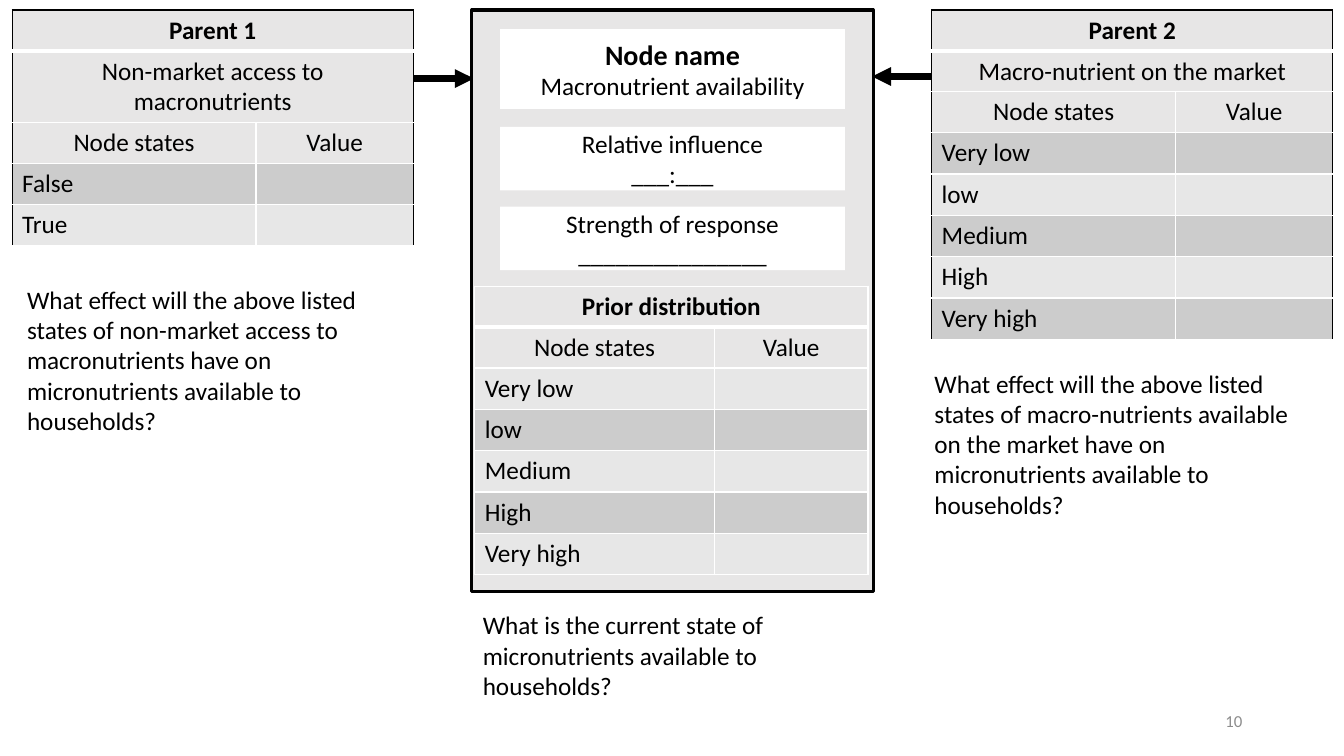
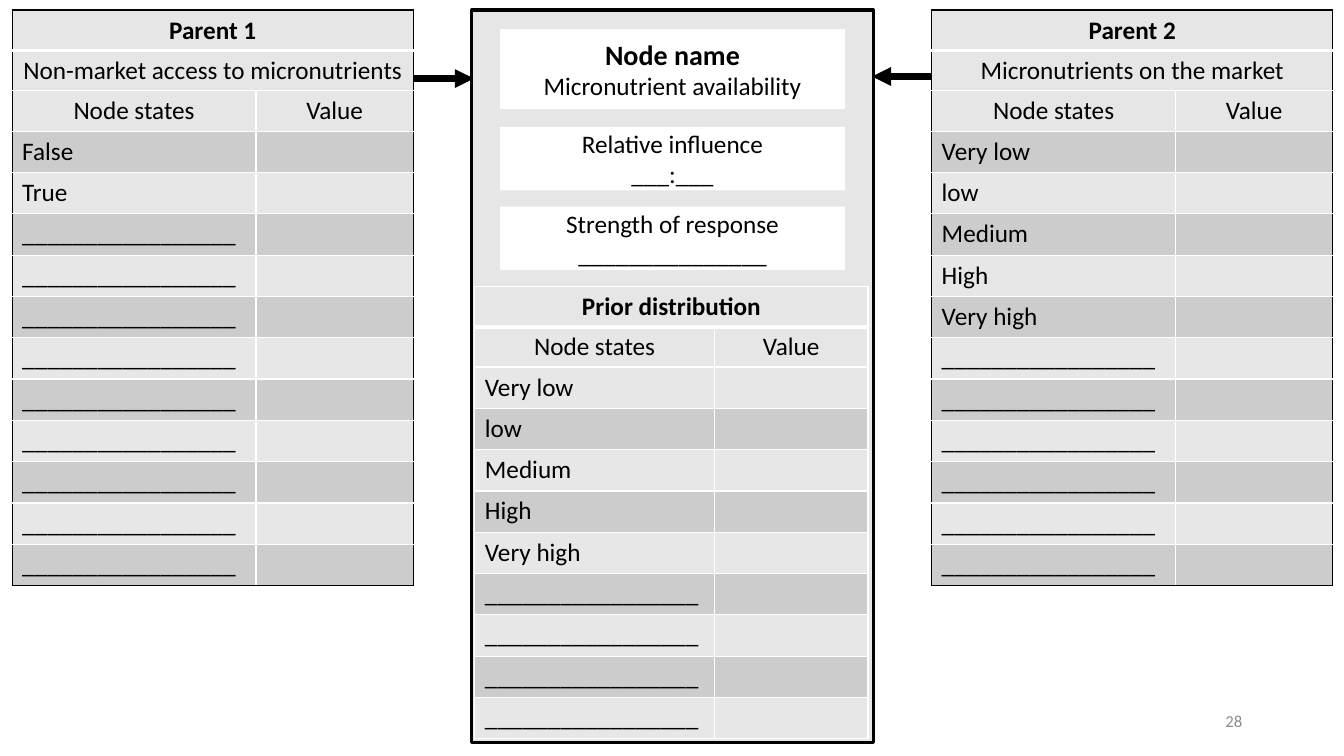
from dataclasses import dataclass
from lxml import etree
from pptx import Presentation
from pptx.dml.color import RGBColor
from pptx.enum.shapes import MSO_CONNECTOR, MSO_SHAPE
from pptx.enum.text import MSO_ANCHOR, PP_ALIGN
from pptx.oxml.ns import qn
from pptx.util import Emu, Inches, Pt

LEFT, CENTER, RIGHT = PP_ALIGN.LEFT, PP_ALIGN.CENTER, PP_ALIGN.RIGHT
MIDDLE, TOP = MSO_ANCHOR.MIDDLE, MSO_ANCHOR.TOP
RECTANGLE, ELBOW = MSO_SHAPE.RECTANGLE, MSO_CONNECTOR.ELBOW

# Shared style
COLORS = {"ink": "000000", "paper": "FFFFFF", "panel": "E7E6E6",
          "light": "E7E7E7", "dark": "CCCCCC", "number": "8C8C8C"}
FONT = "Calibri"
BODY = {"name": FONT, "size": Pt(18), "bold": False}
HEADING = {**BODY, "bold": True}
NODE_NAME = {**HEADING, "size": Pt(20)}
PAGE_NUMBER = {**BODY, "size": Pt(12)}

# Grid: 133.33 columns by 75 rows
PAGE_WIDTH, PAGE_HEIGHT = Inches(13.33), Inches(7.5)
COLUMN, ROW = PAGE_WIDTH / 133.3, PAGE_HEIGHT / 75
PANEL_LEFT, PANEL_TOP, PANEL_WIDTH = 46.8, 1, 39.8
HEAD_ROW, STATE_ROW = 3.6, 4.1

FIVE_LEVELS = ["Very low", "low", "Medium", "High", "Very high"]
YES_NO = ["False", "True"]
BLANK_STATE = "_" * 17


@dataclass
class Span:
    text: str
    style: dict
    color: str = "ink"


@dataclass
class Area:
    left: float
    top: float
    width: float
    height: float

    def emu(self) -> tuple[Emu, Emu, Emu, Emu]:
        return (Emu(round(self.left * COLUMN)), Emu(round(self.top * ROW)),
                Emu(round(self.width * COLUMN)), Emu(round(self.height * ROW)))


@dataclass
class StateTable:
    area: Area
    columns: tuple[float, float]
    titles: list[str]
    states: list[str]
    bands: tuple[str, str]
    side: str = "paper"
    bottom: str = "paper"


@dataclass
class Note:
    area: Area
    text: str


@dataclass
class NodePage:
    number: str
    nutrient: str
    panel_height: float
    tables: list[StateTable]
    notes: list[Note]


def rgb(name: str) -> RGBColor:
    return RGBColor.from_string(COLORS[name])


def write(frame, spans: list[Span], align=LEFT, anchor=TOP) -> None:
    """Fill a text frame with one paragraph for each span."""
    frame.word_wrap = True
    frame.vertical_anchor = anchor
    for index, span in enumerate(spans):
        para = frame.paragraphs[0] if index == 0 else frame.add_paragraph()
        para.alignment = align
        run = para.add_run()
        run.text = span.text
        for name, value in span.style.items():
            setattr(run.font, name, value)
        run.font.color.rgb = rgb(span.color)


def add_box(page, area: Area, fill: str, line: str = "", spans: list[Span] = ()) -> None:
    box = page.shapes.add_shape(RECTANGLE, *area.emu())
    box.shadow.inherit = False
    box.fill.solid()
    box.fill.fore_color.rgb = rgb(fill)
    if line:
        box.line.color.rgb = rgb(line)
        box.line.width = Pt(2.25)
    else:
        box.line.fill.background()
    write(box.text_frame, spans, CENTER, MIDDLE)


def add_text(page, area: Area, span: Span, align=LEFT, anchor=TOP) -> None:
    box = page.shapes.add_textbox(*area.emu())
    write(box.text_frame, [span], align, anchor)


def add_arrow(page, start: tuple[float, float], end: tuple[float, float]) -> None:
    points = [Emu(round(value * unit)) for point in (start, end)
              for value, unit in zip(point, (COLUMN, ROW))]
    arrow = page.shapes.add_connector(ELBOW, *points)
    arrow.line.color.rgb = rgb("ink")
    arrow.line.width = Pt(4.5)
    etree.SubElement(arrow.line._get_or_add_ln(), qn("a:tailEnd"), type="triangle")
    etree.SubElement(arrow._element.spPr, qn("a:effectLst"))


def set_borders(cell, borders: dict[str, tuple[str, float]]) -> None:
    properties = cell._tc.get_or_add_tcPr()
    for side in "LRTB":
        color, width = borders[side]
        line = etree.SubElement(properties, qn(f"a:ln{side}"), w=str(Pt(width)))
        fill = etree.SubElement(line, qn("a:solidFill"))
        etree.SubElement(fill, qn("a:srgbClr"), val=COLORS[color])


def add_state_table(page, spec: StateTable) -> None:
    title_count = len(spec.titles)
    rows = [(title, "") for title in spec.titles] + [("Node states", "Value")]
    head_count = len(rows)
    rows += [(state, "") for state in spec.states]
    frame = page.shapes.add_table(len(rows), 2, *spec.area.emu())
    table = frame.table
    table.first_row = table.horz_banding = False
    for column, width in zip(table.columns, spec.columns):
        column.width = Emu(round(width * COLUMN))

    for index, texts in enumerate(rows):
        is_head = index < head_count
        table.rows[index].height = Emu(round((HEAD_ROW if is_head else STATE_ROW) * ROW))
        fill = "panel" if is_head else spec.bands[(index - head_count) % 2]
        merged = index < title_count
        if merged:
            table.cell(index, 0).merge(table.cell(index, 1))
        for place, text in enumerate(texts):
            cell = table.cell(index, place)
            outer, inner = (spec.side, 1), (spec.side if merged else "paper", 1)
            set_borders(cell, {
                "L": outer if place == 0 else inner,
                "R": outer if place == 1 else inner,
                "T": outer if index == 0 else ("paper", 3 if index == 1 else 1),
                "B": (spec.bottom, 1) if index == len(rows) - 1
                else ("paper", 3 if index == 0 else 1)})
            cell.fill.solid()
            cell.fill.fore_color.rgb = rgb(fill)
            if text:
                style = HEADING if index == 0 else BODY
                write(cell.text_frame, [Span(text, style)], CENTER if is_head else LEFT)
    frame.height = spec.area.emu()[3]


def parent_table(order: int, subject: str, states: list[str], height: float,
                 bottom: str = "paper") -> StateTable:
    left = 1.2 if order == 1 else 92.4
    return StateTable(Area(left, PANEL_TOP, PANEL_WIDTH, height), (24.2, 15.6),
                      [f"Parent {order}", subject], states, ("dark", "light"), "ink", bottom)


def prior_table(states: list[str], height: float) -> StateTable:
    return StateTable(Area(47.1, 28.4, 39, height), (23.75, 15.25),
                      ["Prior distribution"], states, ("light", "dark"))


def add_node_page(deck, spec: NodePage) -> None:
    page = deck.slides.add_slide(deck.slide_layouts[6])

    # Arrows from the parents to the node
    add_arrow(page, (31.3, 8.5), (47, 7.8))
    add_arrow(page, (100.3, 7.8), (86.5, 7.6))

    # Node panel with its three fields
    add_box(page, Area(PANEL_LEFT, PANEL_TOP, PANEL_WIDTH, spec.panel_height), "panel", "ink")
    fields = [
        (2.9, 7.9, [Span("Node name", NODE_NAME), Span(f"{spec.nutrient} availability", BODY)]),
        (12.6, 6.3, [Span("Relative influence", BODY), Span("___:___", BODY)]),
        (20.5, 6.3, [Span("Strength of response", BODY), Span("_" * 15, BODY)]),
    ]
    for top, height, spans in fields:
        add_box(page, Area(49.6, top, 34.2, height), "paper", spans=spans)

    # Tables, questions and page number
    for table in spec.tables:
        add_state_table(page, table)
    for note in spec.notes:
        add_text(page, note.area, Span(note.text, BODY))
    add_text(page, Area(94.2, 69.5, 30, 4), Span(spec.number, PAGE_NUMBER, "number"),
             RIGHT, MIDDLE)


def effect_question(cause: str) -> str:
    return (f"What effect will the above listed states of {cause} "
            "have on micronutrients available to households?")


def padded(states: list[str], count: int) -> list[str]:
    return states + [BLANK_STATE] * (count - len(states))


PAGES = [
    NodePage("10", "Macronutrient", 57.7, [
        parent_table(1, "Non-market access to macronutrients", YES_NO, 23.1),
        parent_table(2, "Macro-nutrient on the market", FIVE_LEVELS, 32.3),
        prior_table(FIVE_LEVELS, 28.3),
    ], [
        Note(Area(46.9, 60, 39.6, 10.1),
             "What is the current state of micronutrients available to households?"),
        Note(Area(91.7, 36, 39.6, 16.2),
             effect_question("macro-nutrients available on the market")),
        Note(Area(1.7, 27.7, 39.6, 16.2),
             effect_question("non-market access to macronutrients")),
    ]),
    NodePage("28", "Micronutrient", 72.7, [
        parent_table(1, "Non-market access to micronutrients", padded(YES_NO, 11), 56.6, "ink"),
        parent_table(2, "Micronutrients on the market", padded(FIVE_LEVELS, 11), 56.6, "ink"),
        prior_table(padded(FIVE_LEVELS, 9), 44.5),
    ], []),
]

deck = Presentation()
deck.slide_width, deck.slide_height = PAGE_WIDTH, PAGE_HEIGHT
for node_page in PAGES:
    add_node_page(deck, node_page)
deck.save("out.pptx")
